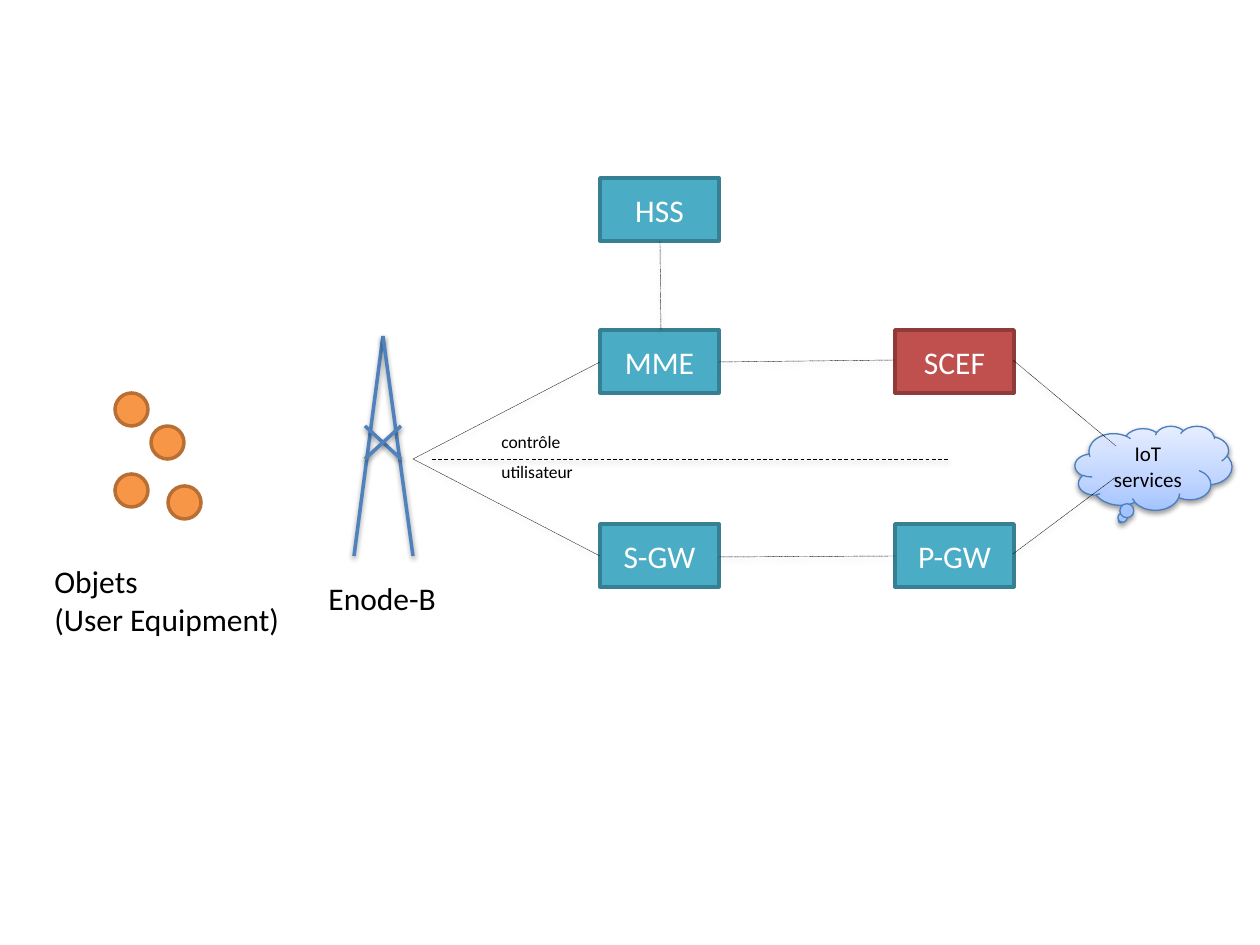
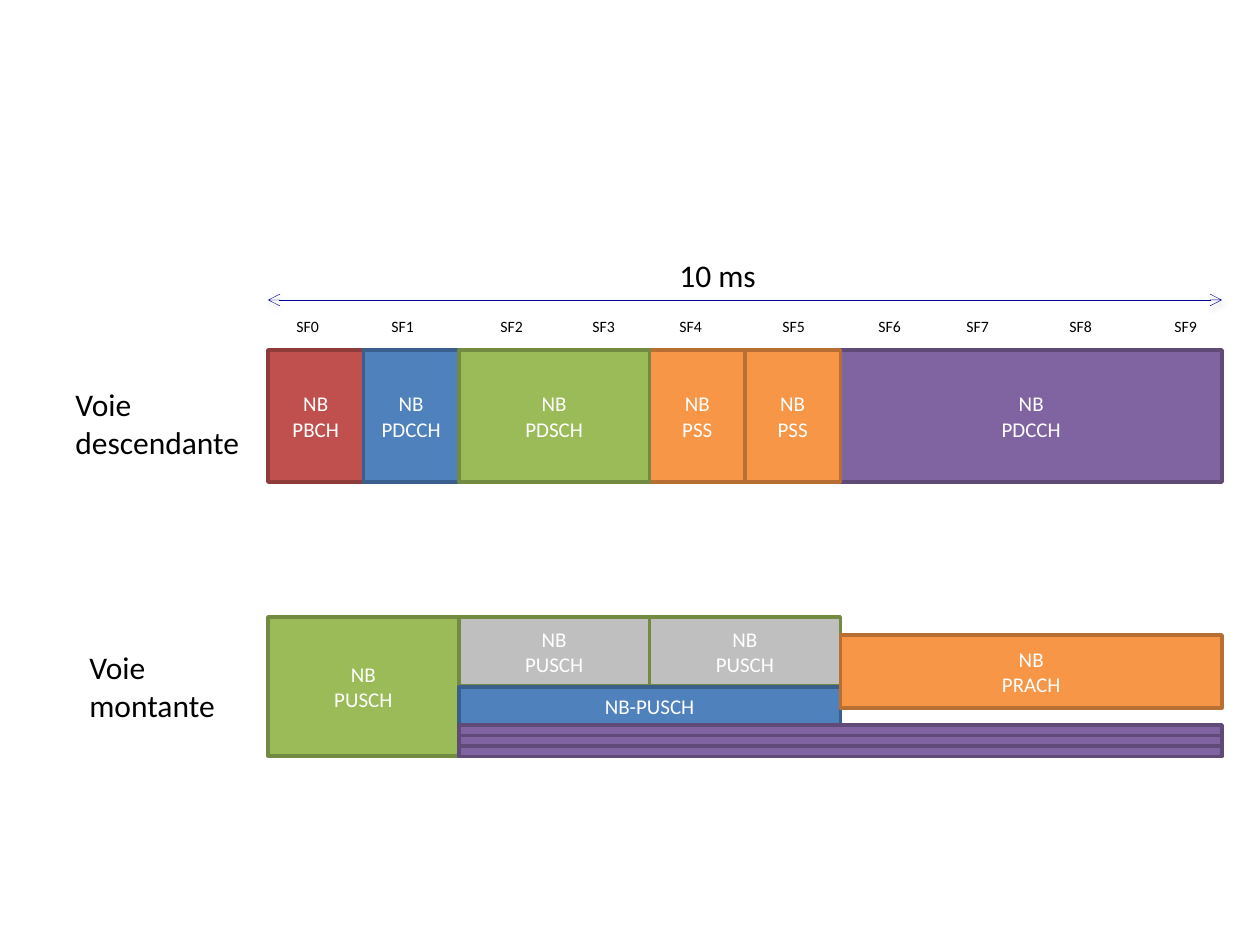
from pptx import Presentation, util as u
from pptx.dml.color import RGBColor as Rgb
from pptx.enum import shapes, text, dml
from pptx.oxml import parse_xml
from pptx.oxml.ns import nsdecls

PX = 914400 / 126
FONT = "Calibri"
BLACK, WHITE = Rgb(0, 0, 0), Rgb(255, 255, 255)
NAVY = Rgb(0, 0, 0x90)
SKY = Rgb(0x4B, 0x7E, 0xBC)
GREY = Rgb(0xBF, 0xBF, 0xBF)
RED, MAROON = Rgb(0xC0, 0x50, 0x4D), Rgb(0x8E, 0x3B, 0x39)
BLUE, DENIM = Rgb(0x4F, 0x81, 0xBD), Rgb(0x3A, 0x5F, 0x8C)
GREEN, MOSS = Rgb(0x9B, 0xBB, 0x59), Rgb(0x73, 0x8A, 0x42)
ORANGE, RUST = Rgb(0xF7, 0x96, 0x46), Rgb(0xB7, 0x6F, 0x34)
PURPLE, PLUM = Rgb(0x80, 0x64, 0xA2), Rgb(0x5F, 0x4A, 0x78)
TEAL, OCEAN = Rgb(0x4B, 0xAC, 0xC6), Rgb(0x37, 0x7F, 0x92)
CLOUD = [(0, "A4C4FF"), (35, "BFD4FF"), (100, "E6EEFF")]
KIND = shapes.MSO_SHAPE
DOT, DASH = dml.MSO_LINE.ROUND_DOT, dml.MSO_LINE.DASH

SPOTS = [(115, 393), (115, 474), (151, 426), (168, 486)]
TOWER = [(354, 556, 383, 336), (383, 336, 413, 556),
         (365, 426, 401, 459), (365, 459, 401, 426)]
NODES = [("MME", 600, 330, TEAL, OCEAN), ("S-GW", 600, 524, TEAL, OCEAN),
         ("HSS", 600, 178, TEAL, OCEAN), ("P-GW", 895, 524, TEAL, OCEAN),
         ("SCEF", 895, 330, RED, MAROON)]
LINKS = [(413, 459, 600, 556), (413, 459, 600, 362), (661, 330, 660, 241),
         (719, 557, 895, 556), (719, 362, 895, 360),
         (1013, 360, 1116, 446), (1013, 554, 1116, 477)]
NOTES = [(["Objets", "(User Equipment)"], (42, 556, 253, 89), 18),
         (["Enode-B"], (316, 573, 135, 50), 18),
         (["contrôle"], (489, 425, 86, 34), 10),
         (["utilisateur"], (489, 455, 100, 34), 10)]

LEFT, WIDE = 268, 954
COL = WIDE / 10
DOWN, UP = (350, 132), (617, 139)
HALF = (617, 69)
SLOTS = [(["NB", "PBCH"], 0, 1, DOWN, RED, MAROON),
         (["NB", "PDCCH"], 1, 1, DOWN, BLUE, DENIM),
         (["NB", "PSS"], 4, 1, DOWN, ORANGE, RUST),
         (["NB", "PDCCH"], 6, 4, DOWN, PURPLE, PLUM),
         (["NB", "PDSCH"], 2, 2, DOWN, GREEN, MOSS),
         (["NB", "PSS"], 5, 1, DOWN, ORANGE, RUST),
         (["NB", "PUSCH"], 0, 2, UP, GREEN, MOSS),
         (["NB", "PUSCH"], 2, 2, HALF, GREY, MOSS),
         (["NB", "PUSCH"], 4, 2, HALF, GREY, MOSS),
         (["NB-PUSCH"], 2, 4, (687, 38), BLUE, DENIM)]
SLOTS += [([], 2, 8, (y, 10.5), PURPLE, PLUM) for y in (746, 735.5, 725)]
SLOTS += [(["NB", "PRACH"], 6, 4, (635, 73), ORANGE, RUST)]
MARKS = [284, 379, 488, 580, 667, 770, 866, 954, 1057, 1162]
HEADS = [(["Voie", "descendante"], (63, 379, 192, 89), 18),
         (["Voie", "montante"], (77, 642, 154, 89), 18),
         (["10 ms"], (667, 250, 103, 50), 18)]
HEADS += [([f"SF{n}"], (x, 311, 48, 32), 9) for n, x in enumerate(MARKS)]


def emu(box):
    return [round(v * PX) for v in box]


def write(frame, rows, size, ink, side):
    for n, row in enumerate(rows):
        para = frame.add_paragraph() if n else frame.paragraphs[0]
        para.alignment = side
        run = para.add_run()
        run.text = row
        run.font.name, run.font.size = FONT, u.Pt(size)
        run.font.color.rgb = ink


def label(page, rows, box, size):
    frame = page.shapes.add_textbox(*emu(box)).text_frame
    frame.word_wrap = False
    frame.auto_size = text.MSO_AUTO_SIZE.SHAPE_TO_FIT_TEXT
    write(frame, rows, size, BLACK, text.PP_ALIGN.LEFT)


def block(page, kind, box, fill, edge, rows=(), size=12, ink=WHITE, thick=2):
    shape = page.shapes.add_shape(kind, *emu(box))
    shape.shadow.inherit = False
    if fill is not None:
        shape.fill.solid()
        shape.fill.fore_color.rgb = fill
    shape.line.color.rgb, shape.line.width = edge, u.Pt(thick)
    frame = shape.text_frame
    frame.word_wrap = True
    frame.vertical_anchor = text.MSO_ANCHOR.MIDDLE
    write(frame, rows, size, ink, text.PP_ALIGN.CENTER)
    return shape


def shade(shape):
    props = shape._element.spPr
    for old in props.findall("{*}effectLst"):
        props.remove(old)
    props.append(parse_xml(
        f'<a:effectLst {nsdecls("a")}><a:outerShdw blurRad="{u.Pt(3.1)}" '
        f'dist="{u.Pt(1.6)}" dir="5400000" rotWithShape="0">'
        '<a:srgbClr val="000000"><a:alpha val="38000"/></a:srgbClr>'
        '</a:outerShdw></a:effectLst>'))


def stroke(page, ends, ink, thick, dash=None, tips=()):
    line = page.shapes.add_connector(shapes.MSO_CONNECTOR.STRAIGHT, *emu(ends))
    line.line.color.rgb, line.line.width = ink, u.Pt(thick)
    if dash:
        line.line.dash_style = dash
    for tip in tips:
        line.line._get_or_add_ln().append(
            parse_xml(f'<a:{tip} {nsdecls("a")} type="arrow"/>'))
    shade(line)


def blend(shape, stops):
    marks = "".join(f'<a:gs pos="{at * 1000}"><a:srgbClr val="{tone}"/></a:gs>'
                    for at, tone in stops)
    shape._element.spPr.insert(2, parse_xml(
        f'<a:gradFill {nsdecls("a")} rotWithShape="1"><a:gsLst>{marks}</a:gsLst>'
        '<a:lin ang="16200000" scaled="0"/></a:gradFill>'))


def network(page):
    for x, y in SPOTS:
        block(page, KIND.OVAL, (x, y, 33, 33), ORANGE, RUST)
    for ends in TOWER:
        stroke(page, ends, BLUE, 2)
    for name, x, y, fill, edge in NODES:
        block(page, KIND.RECTANGLE, (x, y, 119, 63), fill, edge, [name], 18)
    cloud = block(page, KIND.CLOUD_CALLOUT, (1075, 426, 157, 84), None, SKY,
                  ["IoT services"], 12, BLACK, 0.75)
    blend(cloud, CLOUD)
    shade(cloud)
    for ends in LINKS:
        stroke(page, ends, BLACK, 0.25, DOT)
    stroke(page, (432, 459, 949, 459), BLACK, 0.5, DASH)
    for note in NOTES:
        label(page, *note)


def radio(page):
    for rows, col, span, (y, tall), fill, edge in SLOTS:
        box = (LEFT + col * COL, y, span * COL, tall)
        block(page, KIND.RECTANGLE, box, fill, edge, rows)
    stroke(page, (LEFT + WIDE, 300, LEFT, 300), NAVY, 0.25,
           tips=("headEnd", "tailEnd"))
    for head in HEADS:
        label(page, *head)


deck = Presentation()
deck.slide_width, deck.slide_height = emu((1260, 945))
for draw in (network, radio):
    draw(deck.slides.add_slide(deck.slide_layouts[6]))
deck.save("out.pptx")
